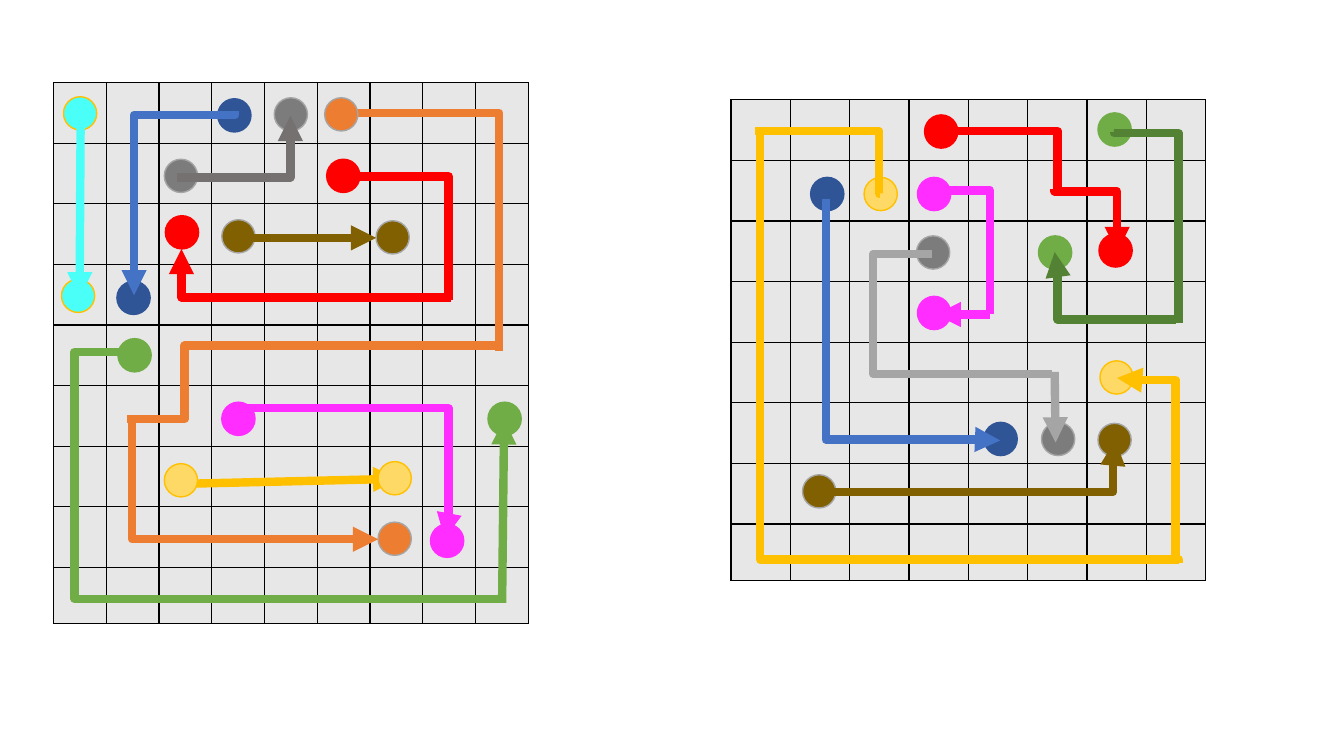
from dataclasses import dataclass
from typing import Optional

from lxml.etree import SubElement
from pptx import Presentation
from pptx.dml.color import RGBColor
from pptx.enum.shapes import MSO_CONNECTOR, MSO_SHAPE
from pptx.oxml.ns import qn
from pptx.util import Inches, Pt

COLORS = {
    "cell": "E7E7E7", "border": "000000", "gray": "7C7C7C", "silver": "A5A5A5",
    "slate": "767171", "navy": "2F5597", "blue": "4472C4", "green": "70AD47",
    "forest": "548235", "red": "FF0000", "cream": "FFD966", "gold": "FFC000",
    "pink": "FF2DFF", "brown": "806000", "cyan": "4BFFF9", "orange": "ED7D31",
}
DOT_SIZE = 0.33
LAST_ROW = 0.56
TABLE_FORMAT = {"first_row": False, "horz_banding": False}
Point = tuple[float, float]


@dataclass
class Pair:
    """Two dots that a route joins."""
    fill: str
    outline: str
    places: tuple[Point, Point]


@dataclass
class Route:
    """A straight line, or an elbow that turns at the coordinate bend."""
    color: str
    start: Point
    end: Point
    bend: Optional[float] = None
    vertical: bool = False
    arrow: bool = False


@dataclass
class Board:
    left: float
    top: float
    width: float
    height: float
    rows: int
    columns: int
    items: list[Pair | Route]


def rgb(name: str) -> RGBColor:
    return RGBColor.from_string(COLORS[name])


def style_line(line, color: str, width: float) -> None:
    line.color.rgb = rgb(color)
    line.width = Pt(width)


def draw_grid(slide, board: Board) -> None:
    frame = slide.shapes.add_table(board.rows, board.columns, *map(
        Inches, (board.left, board.top, board.width, board.height)))
    table = frame.table
    for name, value in TABLE_FORMAT.items():
        setattr(table, name, value)
    for column in table.columns:
        column.width = Inches(board.width / board.columns)
    for row in table.rows:
        row.height = Inches((board.height - LAST_ROW) / (board.rows - 1))
    table.rows[board.rows - 1].height = Inches(LAST_ROW)
    for cell in table.iter_cells():
        properties = cell._tc.get_or_add_tcPr()
        for side in ("a:lnL", "a:lnR", "a:lnT", "a:lnB"):
            border = SubElement(properties, qn(side), w=str(Pt(1)))
            fill = SubElement(border, qn("a:solidFill"))
            SubElement(fill, qn("a:srgbClr"), val=COLORS["border"])
        cell.fill.solid()
        cell.fill.fore_color.rgb = rgb("cell")


def draw_pair(slide, pair: Pair) -> None:
    for left, top in pair.places:
        dot = slide.shapes.add_shape(MSO_SHAPE.OVAL, *map(
            Inches, (left, top, DOT_SIZE, DOT_SIZE)))
        dot.shadow.inherit = False
        dot.fill.solid()
        dot.fill.fore_color.rgb = rgb(pair.fill)
        style_line(dot.line, pair.outline, 1)


def turn_back(point: Point, center: Point, angle: int) -> Point:
    """Place of a point before its shape is rotated by a quarter turn."""
    x, y = point[0] - center[0], point[1] - center[1]
    x, y = {0: (x, y), 90: (y, -x), 180: (-x, -y), 270: (-y, x)}[angle]
    return center[0] + x, center[1] + y


def draw_route(slide, route: Route) -> None:
    (x1, y1), (x2, y2) = route.start, route.end
    center = ((x1 + x2) / 2, (y1 + y2) / 2)
    kind, angle = MSO_CONNECTOR.STRAIGHT, 0
    if route.bend is not None:
        kind = MSO_CONNECTOR.ELBOW
        if route.vertical:
            angle = 90 if x2 < x1 and y2 > y1 else 270
        else:
            angle = 180 if x2 < x1 else 0
    ends = (*turn_back(route.start, center, angle), *turn_back(route.end, center, angle))
    connector = slide.shapes.add_connector(kind, *map(Inches, ends))
    style_line(connector.line, route.color, 6)
    properties = connector._element.spPr
    if route.bend is not None:
        axis = int(route.vertical)
        begin, finish = route.start[axis], route.end[axis]
        share = round((route.bend - begin) / (finish - begin) * 100000)
        properties.find(qn("a:xfrm")).set("rot", str(angle * 60000))
        adjustments = properties.find(qn("a:prstGeom")).find(qn("a:avLst"))
        SubElement(adjustments, qn("a:gd"), name="adj1", fmla=f"val {share}")
    if route.arrow:
        SubElement(properties.find(qn("a:ln")), qn("a:tailEnd"), type="triangle")
    SubElement(properties, qn("a:effectLst"))


# Right board, items from back to front
RIGHT = Board(7.25, 0.99, 4.71, 4.77, 8, 8, [
    Pair("gray", "silver", ((10.33, 4.19), (9.09, 2.34))),
    Pair("navy", "navy", ((8.04, 1.76), (9.76, 4.19))),
    Pair("green", "green", ((10.89, 1.12), (10.3, 2.34))),
    Pair("red", "red", ((9.17, 1.14), (10.9, 2.32))),
    Route("forest", (11.69, 3.2), (11.05, 1.31), 1.32, vertical=True),
    Route("silver", (9.24, 2.52), (10.43, 3.71), 8.66),
    Route("silver", (10.46, 3.69), (10.47, 4.39), arrow=True),
    Route("blue", (8.19, 1.97), (9.92, 4.37), 4.36, vertical=True, arrow=True),
    Pair("cream", "gold", ((10.91, 3.58), (8.57, 1.76))),
    Route("red", (10.53, 1.88), (9.23, 1.3), 10.49),
    Route("gold", (7.54, 1.27), (11.69, 5.59), 5.55, vertical=True),
    Route("gold", (8.73, 1.92), (7.49, 1.3), 8.72),
    Route("gold", (11.66, 5.57), (11.08, 3.75), 3.77, vertical=True, arrow=True),
    Pair("pink", "pink", ((9.1, 1.76), (9.1, 2.94))),
    Pair("brown", "silver", ((10.89, 4.2), (7.96, 4.71))),
    Route("red", (10.46, 1.88), (11.08, 2.5), 1.9, vertical=True, arrow=True),
    Route("forest", (11.66, 3.17), (10.46, 2.5), 10.49, arrow=True),
    Route("pink", (9.82, 3.12), (9.23, 1.85), 1.89, vertical=True),
    Route("pink", (9.82, 3.12), (9.28, 3.12), arrow=True),
    Route("brown", (8.11, 4.88), (11.06, 4.37), 11.04, arrow=True),
])

# Left board, items from back to front
LEFT = Board(0.53, 0.82, 4.71, 5.37, 9, 9, [
    Pair("gray", "silver", ((2.72, 0.97), (1.63, 1.58))),
    Pair("navy", "navy", ((2.16, 0.98), (1.16, 2.79))),
    Pair("green", "green", ((1.17, 3.36), (4.84, 3.99))),
    Pair("red", "red", ((3.24, 1.58), (1.64, 2.14))),
    Route("green", (4.96, 5.94), (1.38, 3.49), 0.74),
    Route("gold", (1.82, 4.8), (3.95, 4.75), arrow=True),
    Route("blue", (2.33, 1.1), (1.33, 2.93), 1.14, vertical=True, arrow=True),
    Pair("cream", "gold", ((3.75, 4.58), (1.63, 4.6))),
    Route("orange", (4.95, 3.48), (3.4, 1.1), 1.12, vertical=True),
    Pair("pink", "pink", ((2.2, 3.99), (4.27, 5.2))),
    Pair("brown", "silver", ((2.2, 2.18), (3.73, 2.19))),
    Route("red", (4.47, 2.95), (1.8, 2.47), 1.8, arrow=True),
    Pair("cyan", "gold", ((0.63, 0.96), (0.61, 2.77))),
    Pair("orange", "silver", ((3.22, 0.97), (3.75, 5.18))),
    Route("cyan", (0.8, 1.13), (0.79, 2.95), arrow=True),
    Route("slate", (1.76, 1.76), (2.88, 1.15), 2.88, arrow=True),
    Route("red", (4.45, 2.98), (3.39, 1.75), 1.75, vertical=True),
    Route("brown", (2.36, 2.36), (3.73, 2.36), arrow=True),
    Route("green", (4.98, 5.98), (5, 4.16), arrow=True),
    Route("orange", (1.26, 4.16), (4.96, 3.43), 1.83),
    Route("orange", (1.3, 4.19), (3.75, 5.35), 1.31, arrow=True),
    Route("pink", (2.33, 4.05), (4.41, 5.34), 4.45, arrow=True),
])

# Slide
presentation = Presentation()
presentation.slide_width = Inches(13.33)
presentation.slide_height = Inches(7.5)
slide = presentation.slides.add_slide(presentation.slide_layouts[6])

for board in (RIGHT, LEFT):
    draw_grid(slide, board)
    for item in board.items:
        if isinstance(item, Pair):
            draw_pair(slide, item)
        else:
            draw_route(slide, item)

presentation.save("out.pptx")
